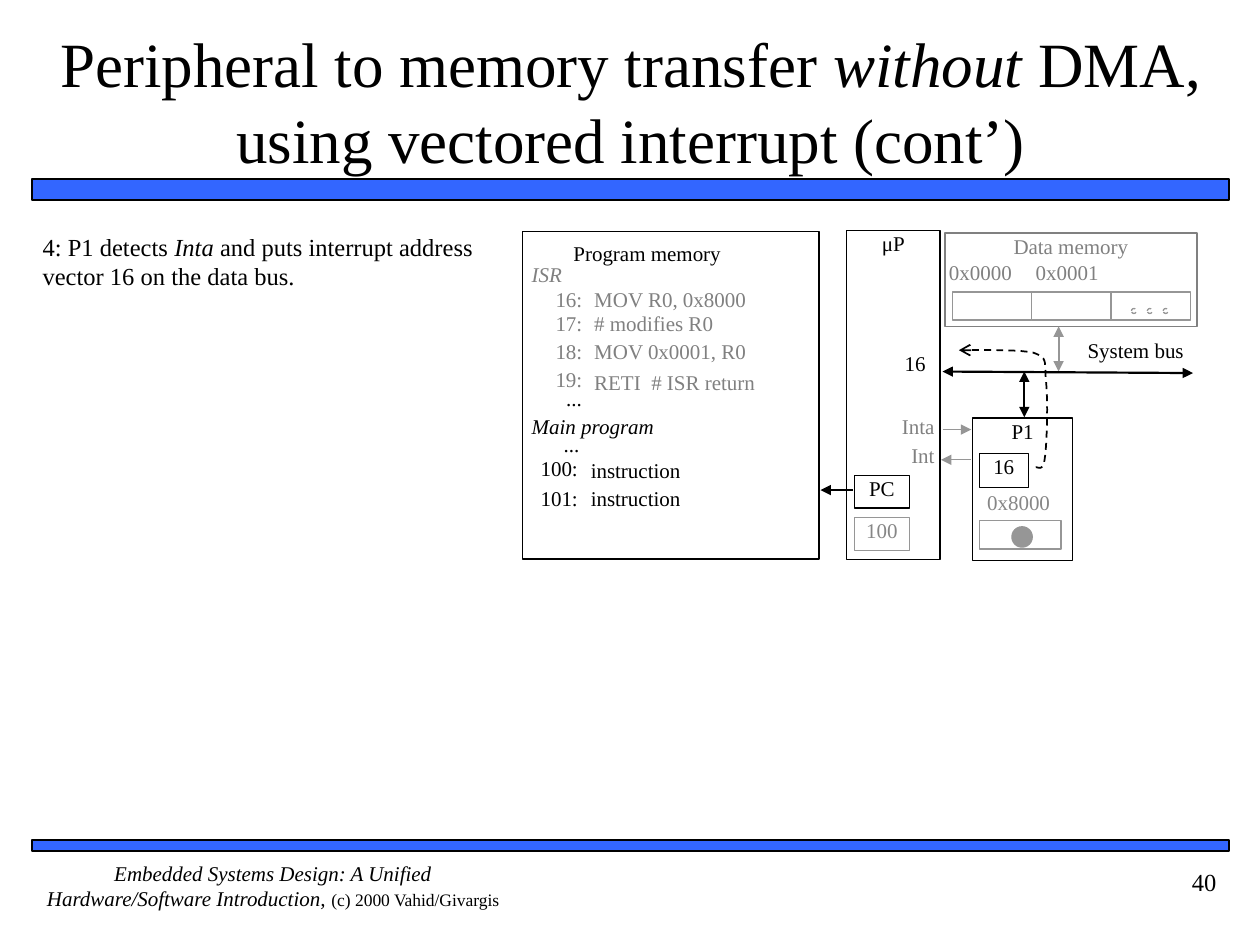
from pptx import Presentation
from pptx.dml.color import RGBColor
from pptx.enum.dml import MSO_LINE
from pptx.enum.shapes import MSO_CONNECTOR, MSO_SHAPE
from pptx.enum.text import MSO_ANCHOR, PP_ALIGN
from pptx.oxml.ns import qn
from pptx.util import Cm, Pt
from lxml.etree import SubElement

BLACK, GREY, LABEL_GREY, LINE_GREY, BLUE = "000000", "808080", "868686", "969696", "3366FF"
LEFT, CENTER, RIGHT = PP_ALIGN.LEFT, PP_ALIGN.CENTER, PP_ALIGN.RIGHT


def color(value):
    return RGBColor.from_string(value)


def set_attributes(target, values):
    for name, value in values.items():
        setattr(target, name, value)


def write(shape, spans, align=LEFT, ink=BLACK, size=12, inset=(0, 0), anchor=MSO_ANCHOR.TOP):
    frame = shape.text_frame
    horizontal, vertical = (Cm(value) for value in inset)
    set_attributes(frame, {
        "word_wrap": True, "vertical_anchor": anchor,
        "margin_left": horizontal, "margin_right": horizontal,
        "margin_top": vertical, "margin_bottom": vertical,
    })
    para = frame.paragraphs[0]
    set_attributes(para, {"alignment": align, "space_before": Pt(0)})
    for text, italic, span_size in spans:
        span = para.add_run()
        span.text = text
        set_attributes(span.font, {
            "name": "Times New Roman", "size": Pt(span_size or size), "italic": italic,
        })
        span.font.color.rgb = color(ink)


def add_text(page, area, spans, **style):
    box = page.shapes.add_textbox(*map(Cm, area))
    write(box, spans, **style)


def add_label(page, area, text, align=LEFT, ink=BLACK, italic=False):
    add_text(page, area, [(text, italic, None)], align=align, ink=ink)


def set_line(line, ink, width, dashed=False):
    line.color.rgb = color(ink)
    line.width = Pt(width)
    if dashed:
        line.dash_style = MSO_LINE.DASH


def add_block(page, area, text="", ink=BLACK, line=BLACK, fill=None, width=0.75,
              kind=MSO_SHAPE.RECTANGLE, dashed=False):
    shape = page.shapes.add_shape(kind, *map(Cm, area))
    shape.shadow.inherit = False
    if fill:
        shape.fill.solid()
        shape.fill.fore_color.rgb = color(fill)
    else:
        shape.fill.background()
    set_line(shape.line, line, width, dashed)
    if text:
        write(shape, [(text, False, None)], align=CENTER, ink=ink)


def add_arrow(page, start, end, ink=BLACK, width=1.25, both=False):
    arrow = page.shapes.add_connector(MSO_CONNECTOR.STRAIGHT, *map(Cm, (*start, *end)))
    set_line(arrow.line, ink, width)
    outline = arrow.line._get_or_add_ln()
    if both:
        SubElement(outline, qn("a:headEnd"), type="triangle")
    SubElement(outline, qn("a:tailEnd"), type="triangle")
    SubElement(arrow._element.spPr, qn("a:effectLst"))


def bezier_points(points, steps=10):
    for first in range(0, len(points) - 1, 3):
        a, b, c, d = points[first:first + 4]
        for step in range(1, steps + 1):
            t = step / steps
            u = 1 - t
            yield tuple(
                Cm(u**3 * p + 3 * u * u * t * q + 3 * u * t * t * r + t**3 * s)
                for p, q, r, s in zip(a, b, c, d)
            )


def add_curved_arrow(page, points):
    builder = page.shapes.build_freeform(*map(Cm, points[0]))
    builder.add_line_segments(list(bezier_points(points)), close=False)
    curve = builder.convert_to_shape()
    curve.shadow.inherit = False
    curve.fill.background()
    set_line(curve.line, BLACK, 1, dashed=True)
    SubElement(curve.line._get_or_add_ln(), qn("a:tailEnd"), type="arrow")


def add_frame(page):
    for top, height in ((3.61, 0.43), (16.94, 0.21)):
        add_block(page, (0.64, top, 24.13, height), fill=BLUE, width=1)
    add_text(page, (0.64, 17.35, 9.73, 1.27), [
        ("Embedded Systems Design: A Unified Hardware/Software Introduction, ", True, 12),
        ("(c) 2000 Vahid/Givargis", False, 10),
    ], align=CENTER)
    add_text(page, (22.23, 17.35, 2.54, 1.27), [("40", False, 14)], align=RIGHT, inset=(0.25, 0.13))


def add_title(page):
    title = page.shapes.title
    set_attributes(title, {"left": Cm(1.07), "top": Cm(0.43), "width": Cm(23.29), "height": Cm(3.18)})
    write(title, [
        ("Peripheral to memory transfer ", False, None),
        ("without", True, None),
        (" DMA, using vectored interrupt (cont’)", False, None),
    ], align=CENTER, size=36, inset=(0, 0.13), anchor=MSO_ANCHOR.MIDDLE)


def add_program_memory(page):
    add_block(page, (10.54, 4.67, 5.97, 6.6))
    add_label(page, (11.56, 4.85, 4.09, 0.76), "Program memory")
    add_label(page, (10.72, 5.28, 1.27, 0.79), "ISR", ink=GREY, italic=True)
    add_label(page, (10.72, 8.33, 3.51, 0.76), "Main program", italic=True)
    isr = [
        (5.77, "16:", 5.77, "MOV R0, 0x8000"),
        (6.27, "17:", 6.27, "# modifies R0"),
        (6.83, "18:", 6.83, "MOV 0x0001, R0"),
        (7.39, "19:", 7.44, "RETI  # ISR return"),
    ]
    main_program = [(9.19, "100:", 9.22, "instruction"), (9.78, "101:", 9.78, "instruction")]
    for rows, right, left, ink in ((isr, 11.74, 11.98, GREY), (main_program, 11.65, 11.91, BLACK)):
        for label_top, label, code_top, code in rows:
            add_label(page, (right - 1.1, label_top, 1.1, 0.57), label, RIGHT, ink)
            add_label(page, (left, code_top, 4.4, 0.57), code, ink=ink)
    for right, top in ((11.73, 7.77), (11.68, 8.69)):
        add_label(page, (right - 0.76, top, 0.76, 0.58), "...", RIGHT)


def add_processor(page):
    add_block(page, (17.07, 4.65, 1.88, 6.63), "μP")
    add_block(page, (17.22, 9.58, 1.12, 0.66), "PC")
    add_block(page, (17.22, 10.44, 1.12, 0.66), "100", ink=LABEL_GREY, line=LINE_GREY)
    add_arrow(page, (17.2, 9.88), (16.54, 9.88))
    add_label(page, (18.08, 7.06, 0.74, 0.51), "16", CENTER)
    for name, top in (("Inta", 8.33), ("Int", 8.92)):
        add_label(page, (17.93, top, 0.91, 0.74), name, RIGHT, GREY)
    add_arrow(page, (19, 8.66), (19.58, 8.66), LINE_GREY, 0.75)
    add_arrow(page, (19.58, 9.27), (18.97, 9.27), LINE_GREY, 0.75)


def add_data_memory(page):
    add_block(page, (19.05, 4.7, 5.08, 1.88), "Data memory", ink=GREY, line=GREY)
    for left, address in ((19.13, "0x0000"), (20.88, "0x0001")):
        add_label(page, (left, 5.23, 1.7, 0.56), address, ink=GREY)
    for index in range(3):
        add_block(page, (19.2 + 1.6 * index, 5.89, 1.6, 0.56), line=LINE_GREY)
        add_block(page, (22.81 + 0.32 * index, 6.22, 0.1, 0.1), line=LINE_GREY,
                  kind=MSO_SHAPE.OVAL, dashed=True)


def add_peripheral(page):
    add_block(page, (19.61, 8.43, 2.01, 2.87), "P1")
    add_block(page, (19.74, 9.14, 0.99, 0.69), "16")
    add_label(page, (19.66, 9.86, 1.75, 0.69), "0x8000", CENTER, LABEL_GREY)
    add_block(page, (19.74, 10.49, 1.65, 0.58), line=LINE_GREY)
    add_block(page, (20.4, 10.62, 0.41, 0.41), line=LINE_GREY, fill=LINE_GREY, kind=MSO_SHAPE.OVAL)


def add_system_bus(page):
    add_label(page, (21.56, 6.81, 2.67, 0.79), "System bus", CENTER)
    add_arrow(page, (21.34, 6.58), (21.34, 7.49), LINE_GREY, both=True)
    add_arrow(page, (19, 7.49), (24.05, 7.52), both=True)
    add_arrow(page, (20.65, 7.49), (20.65, 8.41), both=True)
    add_curved_arrow(page, [
        (20.88, 9.42), (20.9, 9.4), (21.03, 9.53), (21.06, 9.25), (21.11, 8.94),
        (21.13, 7.98), (21.08, 7.62), (21.06, 7.26), (21.11, 7.21), (20.83, 7.11),
        (20.52, 7.04), (19.66, 7.06), (19.33, 7.06),
    ])


def main():
    deck = Presentation()
    set_attributes(deck, {"slide_width": Cm(25.4), "slide_height": Cm(19.05)})
    page = deck.slides.add_slide(deck.slide_layouts[5])
    add_frame(page)
    add_title(page)
    add_text(page, (0.86, 4.67, 8.69, 2.36), [
        ("4: P1 detects ", False, None),
        ("Inta", True, None),
        (" and puts interrupt address vector 16 on the data bus.", False, None),
    ], size=14)
    add_program_memory(page)
    add_processor(page)
    add_data_memory(page)
    add_peripheral(page)
    add_system_bus(page)
    deck.save("out.pptx")


if __name__ == "__main__":
    main()
